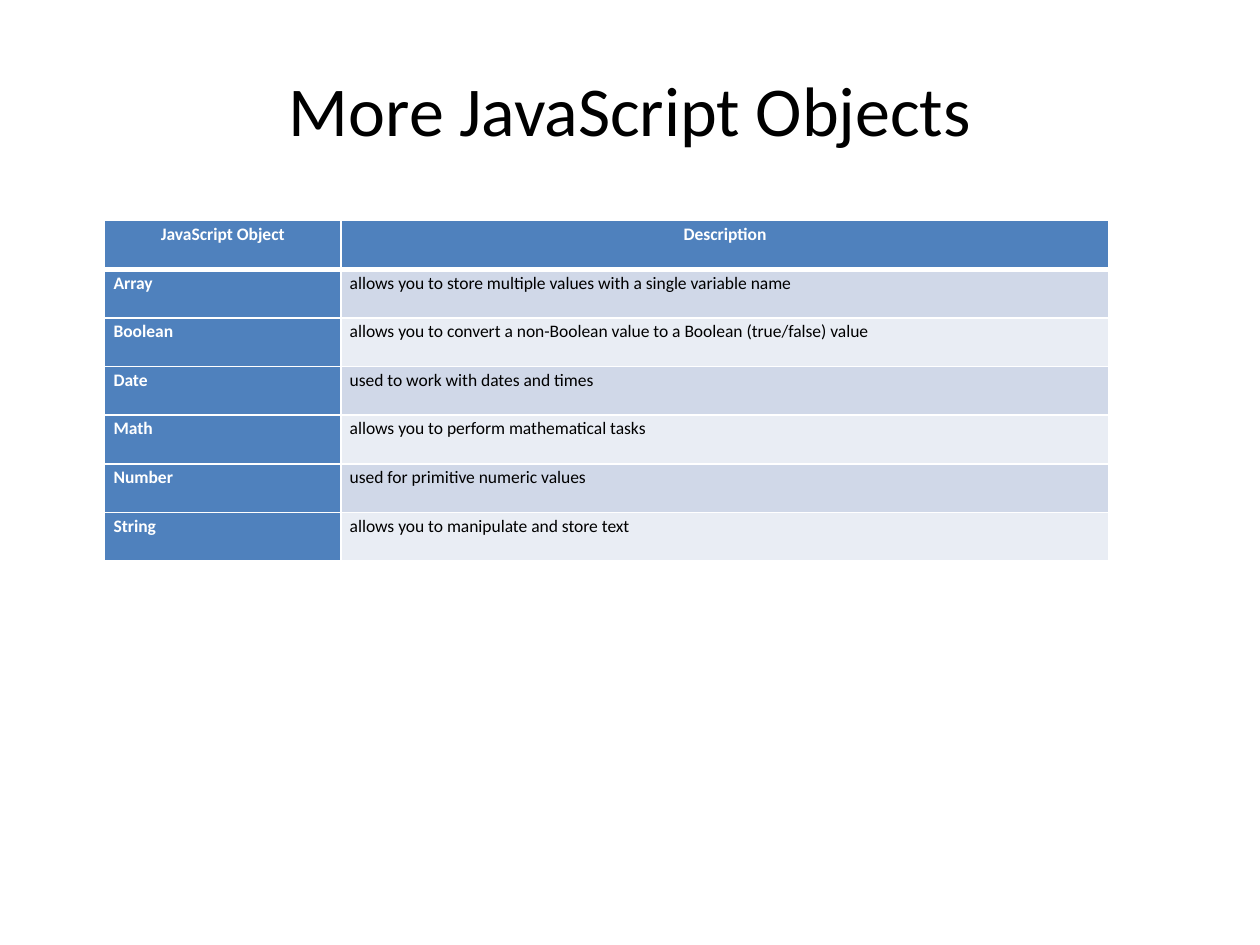
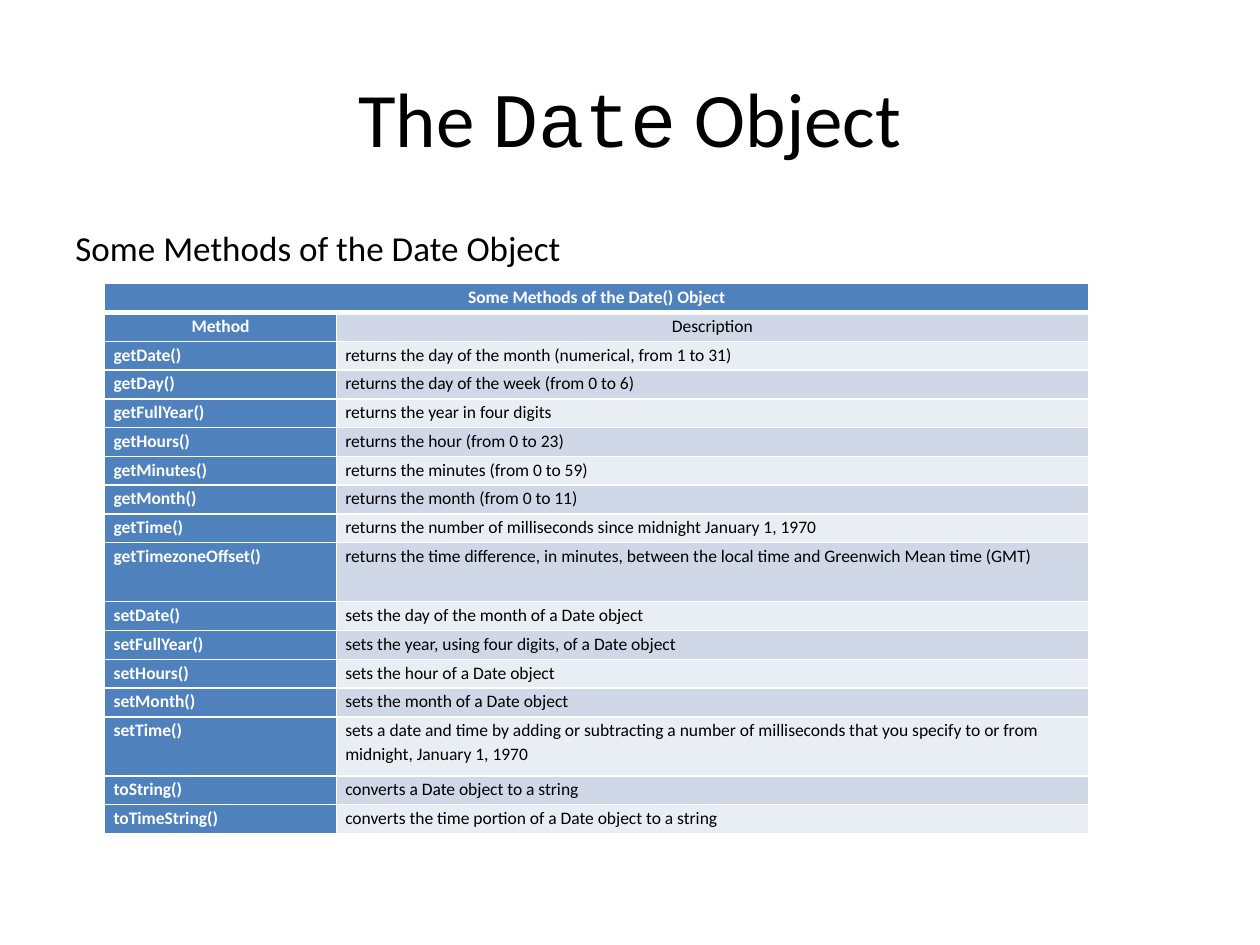
from lxml.etree import SubElement
from pptx import Presentation
from pptx.dml.color import RGBColor
from pptx.enum.text import MSO_ANCHOR as Anchor, PP_ALIGN as Align
from pptx.oxml.ns import qn
from pptx.util import Cm, Pt

BLACK = RGBColor(0x00, 0x00, 0x00)
WHITE = RGBColor(0xFF, 0xFF, 0xFF)
BLUE = RGBColor(0x4F, 0x81, 0xBD)
DARK_BAND = RGBColor(0xD0, 0xD8, 0xE8)
LIGHT_BAND = RGBColor(0xE9, 0xED, 0xF4)

BODY_FONT = "Calibri"
CODE_FONT = "Courier New"
CONTENT_LEFT, CONTENT_WIDTH = 1.27, 22.86
TITLE_TOP = 0.76
TABLE_LEFT = 2.11

OBJECT_ROWS = [
    ("JavaScript Object", "Description"),
    ("Array", "allows you to store multiple values with a single variable name"),
    ("Boolean", "allows you to convert a non-Boolean value to a Boolean (true/false) value"),
    ("Date", "used to work with dates and times"),
    ("Math", "allows you to perform mathematical tasks"),
    ("Number", "used for primitive numeric values"),
    ("String", "allows you to manipulate and store text"),
]

METHOD_ROWS = [
    ("Some Methods of the Date() Object", ""),
    ("Method", "Description"),
    ("getDate()", "returns the day of the month (numerical, from 1 to 31)"),
    ("getDay()", "returns the day of the week (from 0 to 6)"),
    ("getFullYear()", "returns the year in four digits"),
    ("getHours()", "returns the hour (from 0 to 23)"),
    ("getMinutes()", "returns the minutes (from 0 to 59)"),
    ("getMonth()", "returns the month (from 0 to 11)"),
    ("getTime()", "returns the number of milliseconds since midnight January 1, 1970"),
    ("getTimezoneOffset()", "returns the time difference, in minutes, between the local time "
                            "and Greenwich Mean time (GMT)"),
    ("setDate()", "sets the day of the month of a Date object"),
    ("setFullYear()", "sets the year, using four digits, of a Date object"),
    ("setHours()", "sets the hour of a Date object"),
    ("setMonth()", "sets the month of a Date object"),
    ("setTime()", "sets a date and time by adding or subtracting a number of milliseconds "
                  "that you specify to or from midnight, January 1, 1970"),
    ("toString()", "converts a Date object to a string"),
    ("toTimeString()", "converts the time portion of a Date object to a string"),
]
TALL_METHODS = ("getTimezoneOffset()", "setTime()")


def format_run(run, size, color=BLACK, bold=False, font=BODY_FONT):
    """Set the font of one run."""
    run.font.name = font
    run.font.size = Pt(size)
    run.font.bold = bold
    run.font.color.rgb = color


def add_text_box(slide, top, height, anchor):
    """Add a wrapping text box across the content width; return its first paragraph."""
    box = slide.shapes.add_textbox(Cm(CONTENT_LEFT), Cm(top), Cm(CONTENT_WIDTH), Cm(height))
    box.text_frame.word_wrap = True
    box.text_frame.vertical_anchor = anchor
    return box.text_frame.paragraphs[0]


def add_title(slide, parts, size, height):
    """Add a centred title made of (text, font) parts."""
    paragraph = add_text_box(slide, TITLE_TOP, height, Anchor.MIDDLE)
    paragraph.alignment = Align.CENTER
    for text, font in parts:
        run = paragraph.add_run()
        run.text = text
        format_run(run, size, font=font)


def add_body(slide, text):
    """Add the body text below the title."""
    paragraph = add_text_box(slide, 4.45, 12.57, Anchor.TOP)
    paragraph.text = text
    paragraph.space_before = Pt(4)
    format_run(paragraph.runs[0], 20)


def set_borders(cell, row):
    """Draw white cell borders, with a thick line under the first row."""
    widths = {"L": 1, "R": 1, "T": 3 if row == 1 else 1, "B": 3 if row == 0 else 1}
    properties = cell._tc.get_or_add_tcPr()
    for side, width in widths.items():
        line = SubElement(properties, qn(f"a:ln{side}"), w=str(Pt(width)))
        fill = SubElement(line, qn("a:solidFill"))
        SubElement(fill, qn("a:srgbClr"), val=str(WHITE))


def fill_cell(cell, text, row, column, centered):
    """Style one cell by its place in the table and write its text."""
    heading = row == 0 or column == 0
    band = DARK_BAND if row % 2 else LIGHT_BAND
    set_borders(cell, row)
    cell.fill.solid()
    cell.fill.fore_color.rgb = BLUE if heading else band
    cell.margin_left = cell.margin_right = Cm(0.18)
    cell.margin_top = cell.margin_bottom = 0
    paragraph = cell.text_frame.paragraphs[0]
    paragraph.text = text
    paragraph.line_spacing = 1.15
    paragraph.alignment = Align.CENTER if centered else Align.LEFT
    for run in paragraph.runs:
        format_run(run, 10, WHITE if heading else BLACK, heading)


def add_banded_table(slide, top, rows, column_widths, row_heights, header_rows=1):
    """Add a table with a blue first row and column, and banded descriptions."""
    table = slide.shapes.add_table(
        len(rows), len(column_widths), Cm(TABLE_LEFT), Cm(top),
        Cm(sum(column_widths)), Cm(sum(row_heights))).table
    table.first_col = True
    for column, width in zip(table.columns, column_widths):
        column.width = Cm(width)
    for row, height in zip(table.rows, row_heights):
        row.height = Cm(height)
    for row, texts in enumerate(rows):
        for column, text in enumerate(texts):
            fill_cell(table.cell(row, column), text, row, column, row < header_rows)
    return table


def build_objects_slide(slide):
    """Build the overview of JavaScript objects."""
    add_title(slide, [("More JavaScript Objects", BODY_FONT)], 40, 2.84)
    add_banded_table(slide, 4.45, OBJECT_ROWS, (4.76, 15.49), [0.98] * len(OBJECT_ROWS))


def build_date_slide(slide):
    """Build the slide on the methods of the Date object."""
    add_title(slide, [("The ", BODY_FONT), ("Date", CODE_FONT), (" Object", BODY_FONT)], 44, 3.18)
    add_body(slide, "Some Methods of the Date Object")
    heights = [1.19 if name in TALL_METHODS else 0.58 for name, _ in METHOD_ROWS]
    table = add_banded_table(slide, 5.72, METHOD_ROWS, (4.67, 15.16), heights, header_rows=2)
    table.cell(0, 0).merge(table.cell(0, 1))


def main():
    """Build both slides and save the presentation."""
    presentation = Presentation()
    presentation.slide_width, presentation.slide_height = Cm(25.4), Cm(19.05)
    blank_layout = presentation.slide_layouts[6]
    for build in (build_objects_slide, build_date_slide):
        build(presentation.slides.add_slide(blank_layout))
    presentation.save("out.pptx")


main()
